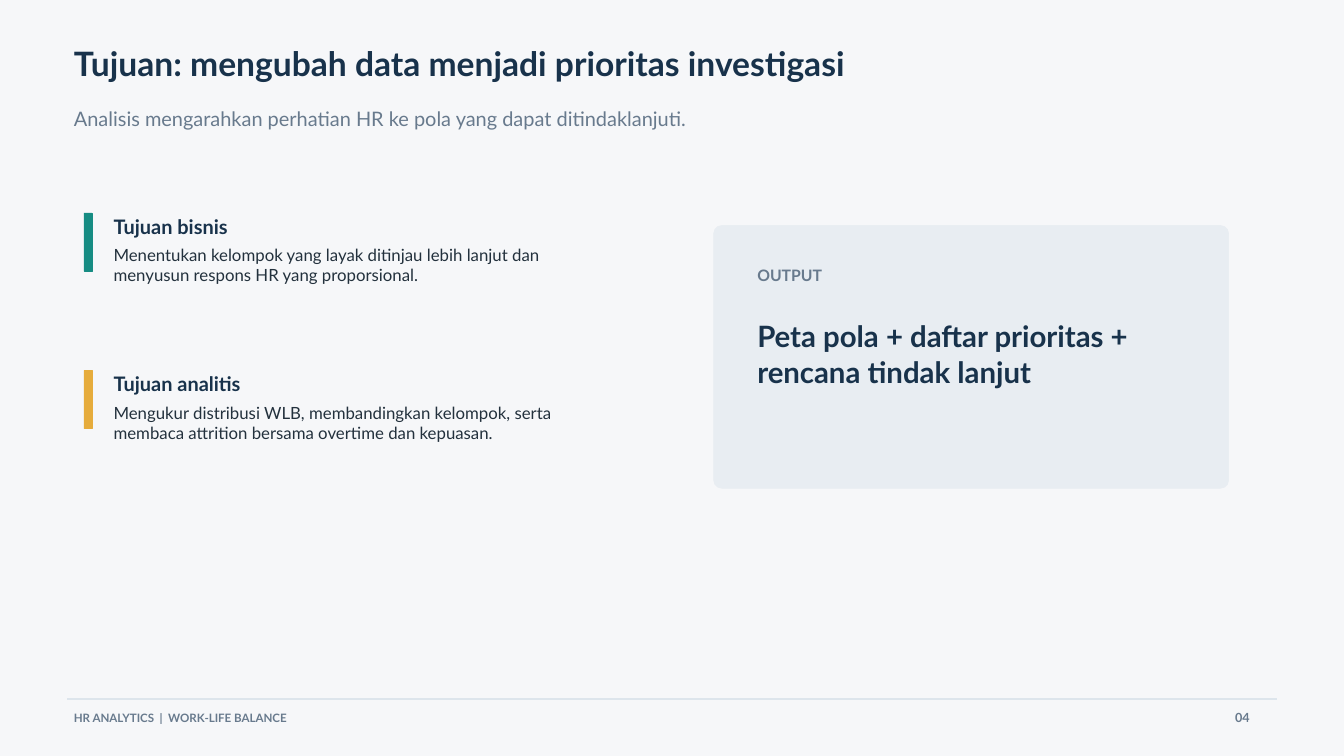
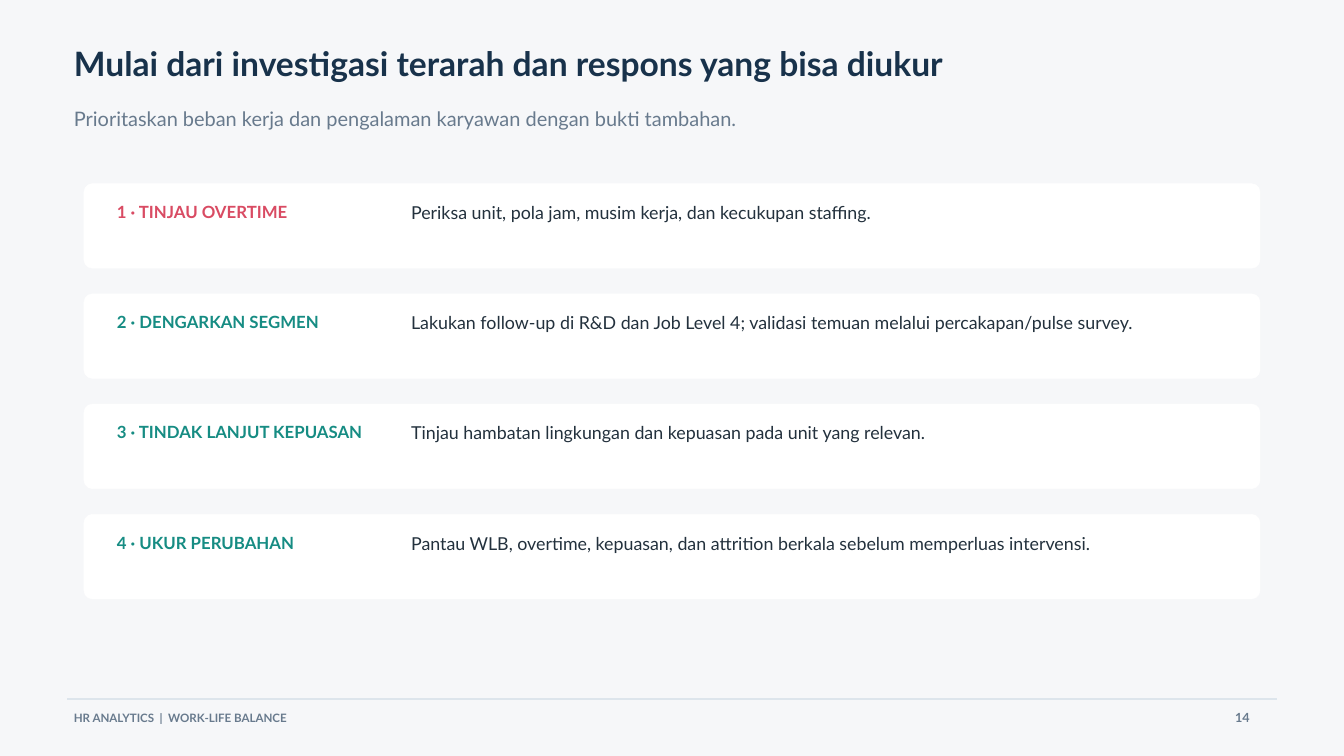
"""Build two HR analytics slides: the analysis goals and the recommended actions."""
from lxml.etree import SubElement
from pptx import Presentation
from pptx.dml.color import RGBColor
from pptx.enum.shapes import MSO_CONNECTOR as Connector, MSO_SHAPE as Shape
from pptx.enum.text import MSO_ANCHOR as Anchor, MSO_AUTO_SIZE as AutoSize, PP_ALIGN as Align
from pptx.oxml.ns import qn
from pptx.util import Pt

GOALS = {
    "title": "Tujuan: mengubah data menjadi prioritas investigasi",
    "subtitle": "Analisis mengarahkan perhatian HR ke pola yang dapat ditindaklanjuti.",
    "number": "04",
    "goals": [
        ("Tujuan bisnis", "teal",
         "Menentukan kelompok yang layak ditinjau lebih lanjut dan menyusun respons HR yang proporsional."),
        ("Tujuan analitis", "amber",
         "Mengukur distribusi WLB, membandingkan kelompok, serta membaca attrition bersama overtime dan kepuasan."),
    ],
    "output": ("OUTPUT", "Peta pola + daftar prioritas + rencana tindak lanjut"),
}
ACTIONS = {
    "title": "Mulai dari investigasi terarah dan respons yang bisa diukur",
    "subtitle": "Prioritaskan beban kerja dan pengalaman karyawan dengan bukti tambahan.",
    "number": "14",
    "actions": [
        ("TINJAU OVERTIME", "red", "Periksa unit, pola jam, musim kerja, dan kecukupan staffing."),
        ("DENGARKAN SEGMEN", "teal",
         "Lakukan follow-up di R&D dan Job Level 4; validasi temuan melalui percakapan/pulse survey."),
        ("TINDAK LANJUT KEPUASAN", "teal", "Tinjau hambatan lingkungan dan kepuasan pada unit yang relevan."),
        ("UKUR PERUBAHAN", "teal",
         "Pantau WLB, overtime, kepuasan, dan attrition berkala sebelum memperluas intervensi."),
    ],
}
FOOTER = "HR ANALYTICS  |  WORK-LIFE BALANCE"

COLORS = {
    "background": "F6F7F9", "navy": "18324B", "slate": "687A8D", "ink": "23313D", "rule": "DDE5EC",
    "teal": "168C83", "amber": "E6AC3C", "red": "D94B63", "panel": "E8EDF2", "white": "FFFFFF",
}
STYLES = {
    "title": (36, True, "navy"),
    "subtitle": (21.4, False, "slate"),
    "footer": (12.4, True, "slate"),
    "number": (13.5, True, "slate"),
    "goal": (21.4, True, "navy"),
    "goal_text": (18, False, "ink"),
    "output_label": (16.9, True, "slate"),
    "output": (31.5, True, "navy"),
    "action": (18, True, "teal"),
    "action_text": (19.1, False, "ink"),
}
LEFT = 79.2
CARD_LEFT = 90
RADIUS = 9
FRAME = {
    "margin_left": 0, "margin_top": 0, "margin_right": 0, "margin_bottom": 0,
    "word_wrap": True, "auto_size": AutoSize.NONE, "vertical_anchor": Anchor.TOP,
}


def color(name):
    return RGBColor.from_string(COLORS[name])


def assign(target, values):
    for name, value in values.items():
        setattr(target, name, value)


def write(box, text, style, tint=None):
    size, bold, default = STYLES[style]
    assign(box.text_frame, FRAME)
    para = box.text_frame.paragraphs[0]
    assign(para, {"alignment": Align.LEFT, "line_spacing": Pt(round(size * 1.2, 1))})
    span = para.add_run()
    assign(span, {"text": text})
    assign(span.font, {"name": "Lato", "size": Pt(size), "bold": bold})
    span.font.color.rgb = color(tint or default)


def add_text(page, text, style, area, tint=None):
    write(page.shapes.add_textbox(*map(Pt, area)), text, style, tint)


def add_block(page, area, fill, radius=0):
    kind = Shape.ROUNDED_RECTANGLE if radius else Shape.RECTANGLE
    block = page.shapes.add_shape(kind, *map(Pt, area))
    if radius:
        block.adjustments[0] = radius / min(area[2:])
    block.shadow.inherit = False
    block.fill.solid()
    block.fill.fore_color.rgb = color(fill)
    block.line.color.rgb = color(fill)
    block.line.width = Pt(0.56)


def add_page(deck, content):
    page = deck.slides.add_slide(deck.slide_layouts.get_by_name("Title Only"))
    title = page.shapes.title
    assign(title, {"left": Pt(LEFT), "top": Pt(46), "width": Pt(1268), "height": Pt(58)})
    write(title, content["title"], "title")
    add_text(page, content["subtitle"], "subtitle", (LEFT, 114.5, 1257, 50))
    rule = page.shapes.add_connector(Connector.STRAIGHT, Pt(72), Pt(748.8), Pt(1368.7), Pt(748.8))
    rule.line.color.rgb = color("rule")
    rule.line.width = Pt(2)
    SubElement(rule.element.spPr, qn("a:effectLst"))
    add_text(page, FOOTER, "footer", (LEFT, 761.8, 717, 20))
    add_text(page, content["number"], "number", (1323.4, 761, 40, 21))
    return page


def build_goals(deck):
    page = add_page(deck, GOALS)
    for index, (heading, accent, text) in enumerate(GOALS["goals"]):
        top = 228.2 + index * 168.6
        add_block(page, (CARD_LEFT, top, 8.4, 62.6), accent)
        add_text(page, heading, "goal", (121.7, top + 1.5, 521, 24))
        add_text(page, text, "goal_text", (121.7, top + 34.2, 521, 51))
    add_block(page, (764.6, 241.6, 551.9, 281.6), "panel", RADIUS)
    label, result = GOALS["output"]
    add_text(page, label, "output_label", (811.4, 284.4, 424, 21))
    add_text(page, result, "output", (811.4, 341.3, 424, 99))


def build_actions(deck):
    page = add_page(deck, ACTIONS)
    for index, (heading, accent, text) in enumerate(ACTIONS["actions"]):
        top = 196.8 + index * 118.1
        add_block(page, (CARD_LEFT, top, 1260, 90.5), "white", RADIUS)
        add_text(page, f"{index + 1} · {heading}", "action", (125.2, top + 19.3, 267, 24), accent)
        add_text(page, text, "action_text", (440.5, top + 19.3, 858, 51))


def main():
    deck = Presentation()
    assign(deck, {"slide_width": Pt(1440), "slide_height": Pt(810)})
    backdrop = deck.slide_master.background.fill
    backdrop.solid()
    backdrop.fore_color.rgb = color("background")
    build_goals(deck)
    build_actions(deck)
    deck.save("out.pptx")


if __name__ == "__main__":
    main()
